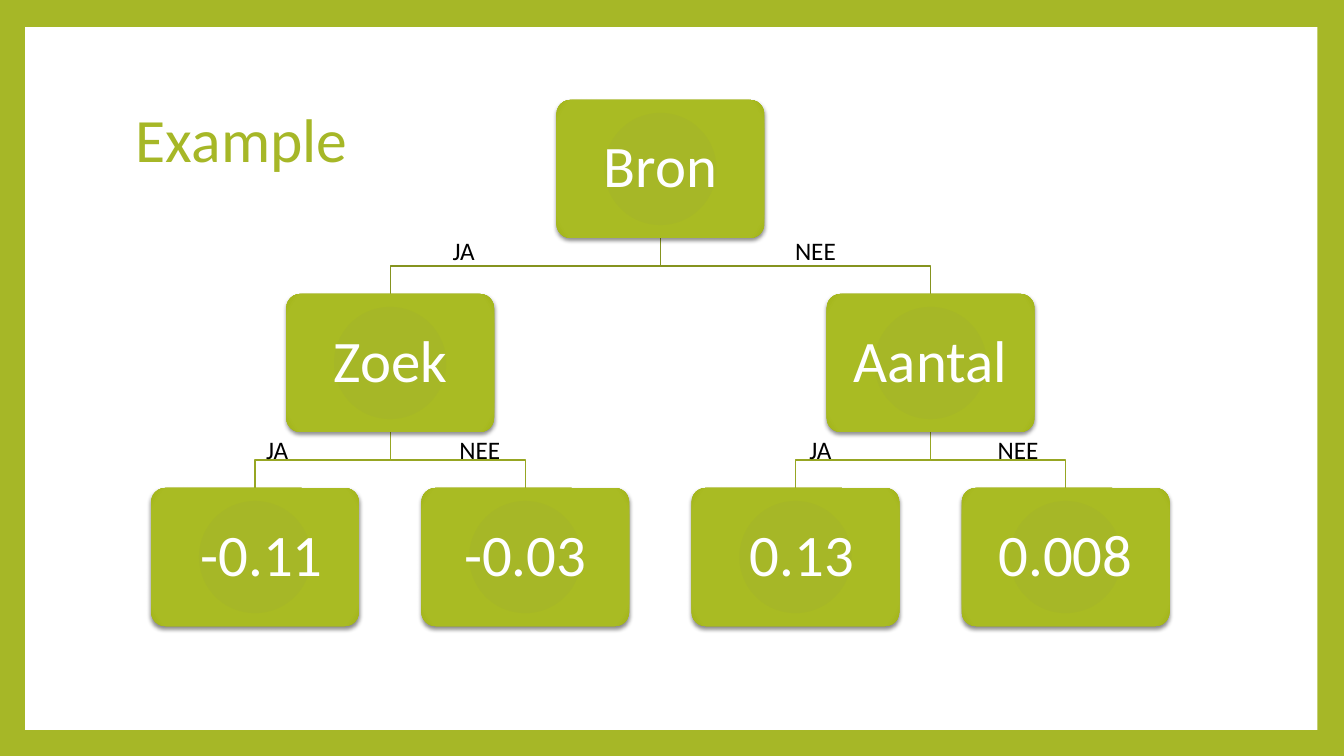
from dataclasses import dataclass

import pptx
import pptx.dml.color
import pptx.enum.shapes
import pptx.enum.text
import pptx.oxml
import pptx.oxml.ns
import pptx.util

Pt = pptx.util.Pt
Align = pptx.enum.text.PP_ALIGN
Anchor = pptx.enum.text.MSO_ANCHOR
Kind = pptx.enum.shapes.MSO_SHAPE


@dataclass(frozen=True)
class Theme:
    font: str = "Calibri"
    green: str = "A6B727"
    light: str = "A9BB23"
    deep: str = "A1B316"
    white: str = "FFFFFF"
    black: str = "000000"
    upper: str = "85931F"
    lower: str = "97A623"
    title: int = 44
    node: int = 42
    label: int = 18


@dataclass(frozen=True)
class Node:
    text: str
    col: float
    row: int

    @property
    def left(self) -> float:
        return LEFT + self.col * STEP

    @property
    def top(self) -> float:
        return TOP + self.row * RISE

    @property
    def mid(self) -> float:
        return self.left + WIDE / 2


@dataclass(frozen=True)
class Link:
    start: Node
    end: Node
    color: str


@dataclass(frozen=True)
class Label:
    text: str
    left: float
    top: float


THEME = Theme()
LEFT, TOP = 108, 71.4
WIDE, HIGH = 148.4, 98.6
STEP, RISE = 193, 138.6

ROOT = Node("Bron", 1.5, 0)
SEEK = Node("Zoek", 0.5, 1)
COUNT = Node("Aantal", 2.5, 1)
LEAVES = [
    Node(text, col, 2)
    for col, text in enumerate([" -0.11", " -0.03 ", " 0.13", "0.008"])
]
NODES = [ROOT, SEEK, COUNT, *LEAVES]
LINKS = [Link(ROOT, node, THEME.upper) for node in (SEEK, COUNT)] + [
    Link(node, leaf, THEME.lower)
    for node, pair in ((SEEK, LEAVES[:2]), (COUNT, LEAVES[2:]))
    for leaf in pair
]
LABELS = [
    Label("JA", 223.2, 164.2),
    Label("JA", 90, 306.7),
    Label("JA", 478.1, 306.7),
    Label("NEE", 474.5, 164.2),
    Label("NEE", 234.7, 306.7),
    Label("NEE", 619.2, 306.7),
]


def rgb(code: str) -> pptx.dml.color.RGBColor:
    return pptx.dml.color.RGBColor.from_string(code)


def write(shape, text: str, *, size: int, color: str, align=Align.CENTER,
          anchor=Anchor.MIDDLE, space: float = 1, inset=None) -> None:
    frame = shape.text_frame
    frame.word_wrap = True
    frame.vertical_anchor = anchor
    if inset is not None:
        frame.margin_left = frame.margin_right = Pt(inset)
        frame.margin_top = frame.margin_bottom = Pt(inset)
    para = frame.paragraphs[0]
    para.alignment = align
    para.line_spacing = space
    run = para.add_run()
    run.text = text
    run.font.name = THEME.font
    run.font.size = Pt(size)
    run.font.color.rgb = rgb(color)


def shade(shape) -> None:
    space = pptx.oxml.ns.nsdecls("a")
    tones = ((0, THEME.green), (90, THEME.light), (100, THEME.deep))
    stops = "".join(
        f'<a:gs pos="{pos * 1000}"><a:srgbClr val="{tone}"/></a:gs>'
        for pos, tone in tones
    )
    shape.fill.gradient()
    props = shape.element.spPr
    props.replace(props.find(pptx.oxml.ns.qn("a:gradFill")), pptx.oxml.parse_xml(
        f'<a:gradFill {space} rotWithShape="1"><a:gsLst>{stops}</a:gsLst>'
        '<a:path path="circle"><a:fillToRect l="100000" t="100000" '
        'r="100000" b="100000"/></a:path></a:gradFill>'
    ))
    shape.shadow.inherit = False
    props.find(pptx.oxml.ns.qn("a:effectLst")).append(pptx.oxml.parse_xml(
        f'<a:outerShdw {space} blurRad="{Pt(3)}" dist="{Pt(2)}" dir="5400000" '
        f'rotWithShape="0"><a:srgbClr val="{THEME.black}">'
        '<a:alpha val="45000"/></a:srgbClr></a:outerShdw>'
    ))


def draw_node(shapes, node: Node) -> None:
    box = shapes.add_shape(Kind.ROUNDED_RECTANGLE, Pt(node.left), Pt(node.top),
                           Pt(WIDE), Pt(HIGH))
    box.adjustments[0] = 0.1
    box.line.fill.background()
    shade(box)
    write(box, node.text, size=THEME.node, color=THEME.white, space=0.9, inset=12)


def draw_link(shapes, link: Link) -> None:
    head, tail = link.start.top + HIGH, link.end.top
    bend = (head + tail) / 2
    pen = shapes.build_freeform(Pt(link.start.mid), Pt(head))
    spots = ((link.start.mid, bend), (link.end.mid, bend), (link.end.mid, tail))
    pen.add_line_segments([(Pt(x), Pt(y)) for x, y in spots], close=False)
    line = pen.convert_to_shape()
    line.fill.background()
    line.line.color.rgb = rgb(link.color)
    line.line.width = Pt(0.79)
    line.shadow.inherit = False


def draw_label(shapes, label: Label) -> None:
    box = shapes.add_textbox(Pt(label.left), Pt(label.top), Pt(216), Pt(29))
    write(box, label.text, size=THEME.label, color=THEME.black, anchor=Anchor.TOP)


def main() -> None:
    deck = pptx.Presentation()
    deck.slide_width, deck.slide_height = Pt(960), Pt(540)
    slide = deck.slides.add_slide(deck.slide_layouts[6])
    back = slide.background.fill
    back.solid()
    back.fore_color.rgb = rgb(THEME.green)
    shapes = slide.shapes

    panel = shapes.add_shape(Kind.RECTANGLE, Pt(18), Pt(19.4), Pt(923), Pt(502))
    panel.fill.solid()
    panel.fill.fore_color.rgb = rgb(THEME.white)
    panel.line.fill.background()
    panel.shadow.inherit = False

    title = shapes.add_textbox(Pt(90), Pt(48.2), Pt(777.6), Pt(106.6))
    write(title, "Example", size=THEME.title, color=THEME.green,
          align=Align.LEFT, space=0.9)

    for link in LINKS:
        draw_link(shapes, link)
    for node in NODES:
        draw_node(shapes, node)
    for label in LABELS:
        draw_label(shapes, label)
    deck.save("out.pptx")


if __name__ == "__main__":
    main()
